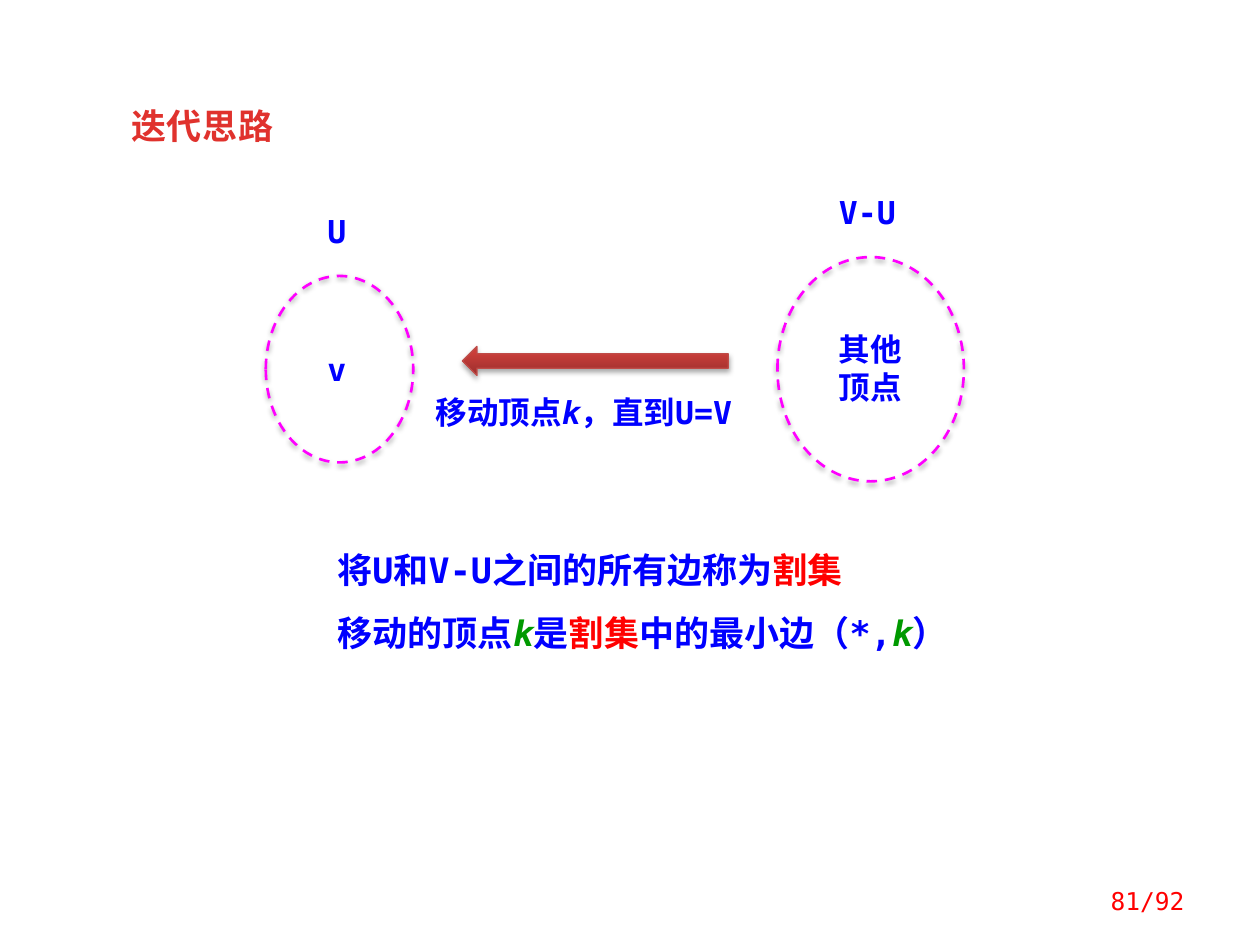
from lxml import etree
from pptx import Presentation
from pptx.dml.color import RGBColor
from pptx.enum.dml import MSO_LINE
from pptx.enum.shapes import MSO_SHAPE
from pptx.enum.text import MSO_ANCHOR, PP_ALIGN
from pptx.oxml.ns import qn
from pptx.util import Inches, Pt

OVAL = MSO_SHAPE.OVAL
LEFT_ARROW = MSO_SHAPE.LEFT_ARROW
DASH = MSO_LINE.DASH
LEFT, RIGHT = PP_ALIGN.LEFT, PP_ALIGN.RIGHT
TOP, MIDDLE = MSO_ANCHOR.TOP, MSO_ANCHOR.MIDDLE
TITLE_ONLY = 5
LATIN_FONT = "DejaVu Sans Mono"
CJK_FONT = "Noto Sans CJK SC"
COLORS = {
    "title": "E0322D",
    "text": "0000FF",
    "cut": "FF0000",
    "vertex": "009900",
    "set": "FF00FF",
    "arrow_dark": "9C2F2D",
    "arrow_light": "CB3E3A",
    "arrow_line": "BF4C48",
    "shadow": "000000",
}


def rgb(name):
    """Return the named colour."""
    return RGBColor.from_string(COLORS[name])


def set_font(paragraph, size, color, bold=True, latin=LATIN_FONT):
    """Set the font shared by all runs of a paragraph."""
    font = paragraph.font
    font.size, font.bold, font.name = Pt(size), bold, latin
    font.color.rgb = rgb(color)
    properties = font._element
    east_asian = etree.SubElement(properties, qn("a:ea"))
    east_asian.set("typeface", CJK_FONT)


def add_runs(paragraph, runs):
    """Add runs given as text, colour or None, and italic."""
    for text, color, italic in runs:
        run = paragraph.add_run()
        run.text = text
        if color:
            run.font.color.rgb = rgb(color)
        if italic:
            run.font.italic = True


def add_text(slide, box, lines, size=18, color="text", bold=True,
             align=LEFT, anchor=TOP, spacing=None):
    """Add a text box with one paragraph for each list of runs."""
    shape = slide.shapes.add_textbox(*map(Inches, box))
    frame = shape.text_frame
    frame.word_wrap = True
    frame.vertical_anchor = anchor
    for index, runs in enumerate(lines):
        paragraph = frame.add_paragraph() if index else frame.paragraphs[0]
        paragraph.alignment = align
        if spacing:
            paragraph.line_spacing = spacing
        set_font(paragraph, size, color, bold)
        add_runs(paragraph, runs)


def add_label(slide, box, text):
    """Add a one-paragraph label in the standard style."""
    add_text(slide, box, [[(text, None, False)]])


def add_shadow(shape, distance, opacity):
    """Give a shape a soft shadow straight below it."""
    shape.shadow.inherit = False
    effects = shape._element.spPr.find(qn("a:effectLst"))
    shadow = etree.SubElement(effects, qn("a:outerShdw"), blurRad=str(Pt(3.1)),
                              dist=str(Pt(distance)), dir="5400000", rotWithShape="0")
    color = etree.SubElement(shadow, qn("a:srgbClr"), val=COLORS["shadow"])
    etree.SubElement(color, qn("a:alpha"), val=str(opacity * 1000))


def add_vertex_set(slide, box):
    """Add the dashed ellipse around a set of vertices."""
    shape = slide.shapes.add_shape(OVAL, *map(Inches, box))
    shape.fill.background()
    shape.line.color.rgb = rgb("set")
    shape.line.width = Pt(1.5)
    shape.line.dash_style = DASH
    add_shadow(shape, 1.6, 38)


def add_move_arrow(slide, box):
    """Add the block arrow between the two sets."""
    shape = slide.shapes.add_shape(LEFT_ARROW, *map(Inches, box))
    shape.fill.gradient()
    shape.fill.gradient_angle = 90
    stops = zip(shape.fill.gradient_stops, ("arrow_dark", "arrow_light"), (0, 0.8))
    for stop, color, position in stops:
        stop.color.rgb = rgb(color)
        stop.position = position
    shape.line.color.rgb = rgb("arrow_line")
    shape.line.width = Pt(0.75)
    add_shadow(shape, 1.8, 35)


def set_title(slide, box, text):
    """Place and format the title."""
    title = slide.shapes.title
    title.left, title.top, title.width, title.height = map(Inches, box)
    title.text = text
    title.text_frame.vertical_anchor = TOP
    title.text_frame.word_wrap = False
    paragraph = title.text_frame.paragraphs[0]
    paragraph.alignment = LEFT
    set_font(paragraph, 20, "title", latin=CJK_FONT)
    paragraph.font._element.set("spc", "50")


def main():
    """Build the slide on the iteration idea."""
    presentation = Presentation()
    presentation.slide_width, presentation.slide_height = Inches(10), Inches(7.5)
    slide = presentation.slides.add_slide(presentation.slide_layouts[TITLE_ONLY])
    set_title(slide, (0.94, 0.78, 1.41, 0.44), "迭代思路")

    add_vertex_set(slide, (2.11, 2.19, 1.17, 1.48))
    add_label(slide, (2.5, 2.73, 0.39, 0.4), "v")
    add_label(slide, (2.5, 1.63, 0.47, 0.4), "U")
    add_vertex_set(slide, (6.17, 2.04, 1.48, 1.78))
    add_label(slide, (6.56, 2.57, 0.86, 0.71), "其他顶点")
    add_label(slide, (6.56, 1.48, 0.78, 0.4), "V-U")

    add_move_arrow(slide, (3.67, 2.75, 2.11, 0.23))
    add_text(slide, (3.36, 3.07, 2.73, 0.4), [
        [("移动顶点", None, False), ("k", None, True), ("，直到U=V", None, False)],
    ])
    cut, vertex = ("割集", "cut", False), ("k", "vertex", True)
    add_text(slide, (2.58, 4.14, 5.94, 1.11), [
        [("将U和V-U之间的所有边称为", None, False), cut],
        [("移动的顶点", None, False), vertex, ("是", None, False), cut,
         ("中的最小边（*,", None, False), vertex, ("）", None, False)],
    ], size=20, spacing=1.5)
    add_text(slide, (8.28, 6.95, 1.22, 0.4), [[("81/92", None, False)]],
             size=14, color="cut", bold=False, align=RIGHT, anchor=MIDDLE)
    presentation.save("out.pptx")


if __name__ == "__main__":
    main()
